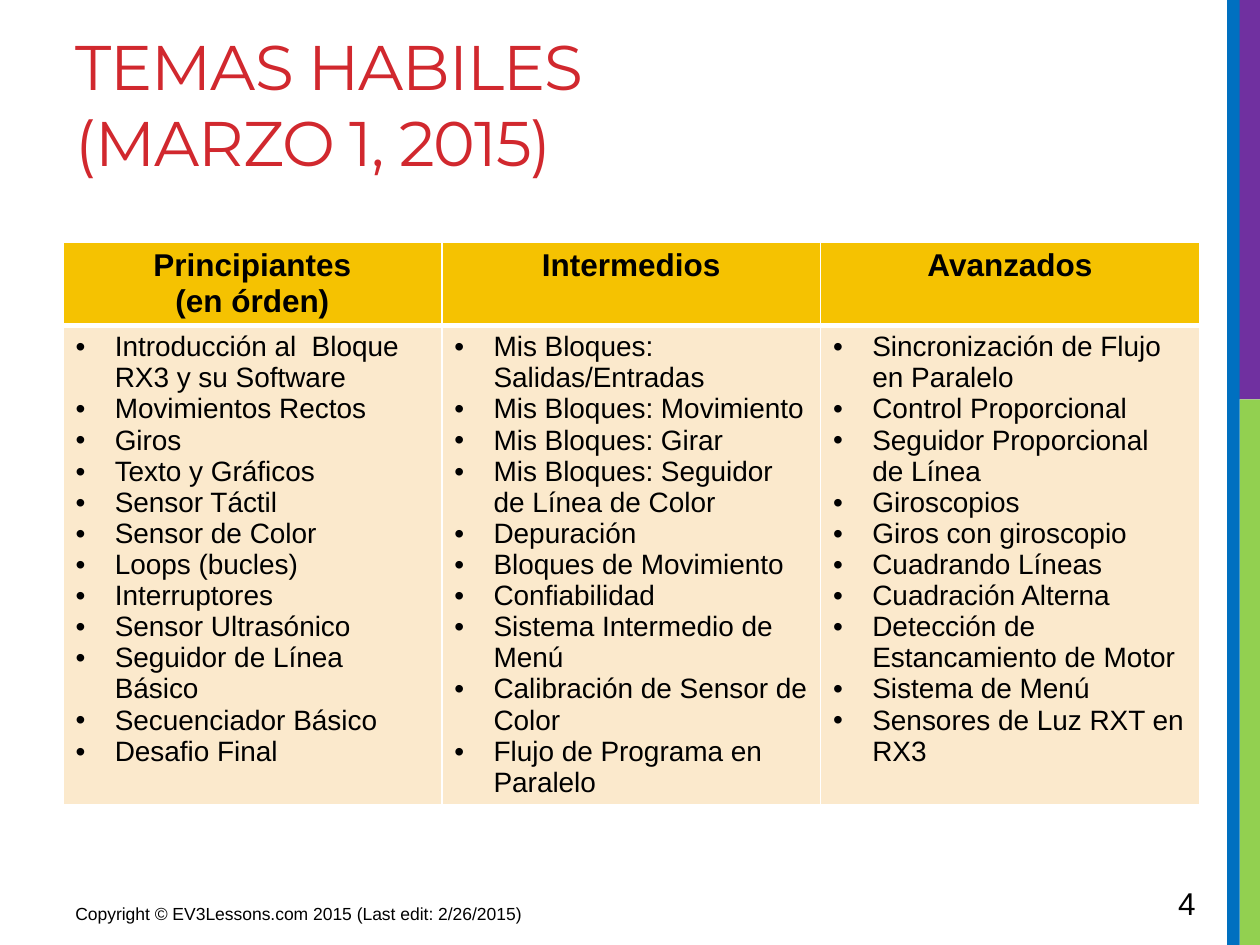
from lxml import etree
from pptx import Presentation
from pptx.dml.color import RGBColor
from pptx.enum import shapes, text
from pptx.oxml.ns import qn
from pptx.util import Cm, Pt

LEFT, WIDE = 1.27, 22.91
BANDS = [
    (24.99, 8.05, 0.41, 11, "92D050"),
    (24.89, 0, 0.51, 8.05, "7030A0"),
    (24.74, 0, 0.25, 19.05, "0070C0"),
]
TOPICS = {
    "Principiantes\n(en órden)": [
        "Introducción al  Bloque RX3 y su Software", "Movimientos Rectos",
        "Giros", "Texto y Gráficos", "Sensor Táctil", "Sensor de Color",
        "Loops (bucles)", "Interruptores", "Sensor Ultrasónico",
        "Seguidor de Línea Básico", "Secuenciador Básico", "Desafio Final",
    ],
    "Intermedios": [
        "Mis Bloques: Salidas/Entradas", "Mis Bloques: Movimiento",
        "Mis Bloques: Girar", "Mis Bloques: Seguidor de Línea de Color",
        "Depuración", "Bloques de Movimiento", "Confiabilidad",
        "Sistema Intermedio de Menú", "Calibración de Sensor de Color",
        "Flujo de Programa en Paralelo",
    ],
    "Avanzados": [
        "Sincronización de Flujo en Paralelo", "Control Proporcional",
        "Seguidor Proporcional de Línea", "Giroscopios",
        "Giros con giroscopio", "Cuadrando Líneas", "Cuadración Alterna",
        "Detección de Estancamiento de Motor", "Sistema de Menú",
        "Sensores de Luz RXT en RX3",
    ],
}


def paint(fmt, hue):
    """Give a fill one solid colour."""
    fmt.solid()
    fmt.fore_color.rgb = RGBColor.from_string(hue)


def style(para, size, hue="000000", face="Arial", bold=False):
    """Format all runs of a paragraph."""
    for run in para.runs:
        run.font.name, run.font.size, run.font.bold = face, Pt(size), bold
        run.font.color.rgb = RGBColor.from_string(hue)


def band(slide, left, top, width, height, hue):
    """Add a plain coloured strip at the edge."""
    strip = slide.shapes.add_shape(
        shapes.MSO_SHAPE.RECTANGLE, Cm(left), Cm(top), Cm(width), Cm(height))
    strip.shadow.inherit = False
    paint(strip.fill, hue)
    strip.line.fill.background()


def label(slide, words, left, top, width, height, size):
    """Add a line of text at the foot."""
    box = slide.shapes.add_textbox(Cm(left), Cm(top), Cm(width), Cm(height))
    frame = box.text_frame
    frame.word_wrap = True
    frame.vertical_anchor = text.MSO_ANCHOR.MIDDLE
    frame.text = words
    style(frame.paragraphs[0], size)


def head(slide, words):
    """Place and format the title."""
    box = slide.shapes.title
    box.left, box.top, box.width, box.height = Cm(LEFT), Cm(0.43), Cm(WIDE), Cm(3.81)
    frame = box.text_frame
    frame.vertical_anchor = text.MSO_ANCHOR.TOP
    frame.text = words
    para = frame.paragraphs[0]
    para.alignment = text.PP_ALIGN.LEFT
    style(para, 36, "D1282E", "Montserrat")
    for run in para.runs:
        run.font._element.set("spc", "-60")


def bullet(para):
    """Give a paragraph a hanging bullet."""
    props = para._p.get_or_add_pPr()
    props.set("marL", str(Cm(0.79)))
    props.set("indent", str(-Cm(0.79)))
    etree.SubElement(props, qn("a:buFont")).set("typeface", "Arial")
    etree.SubElement(props, qn("a:buChar")).set("char", "•")


def border(cell, base):
    """Draw white borders, the bottom one with its own width."""
    props = cell._tc.get_or_add_tcPr()
    for spot, (side, width) in enumerate(zip("LRTB", (1, 1, 1, base))):
        line = etree.Element(qn(f"a:ln{side}"), w=str(Pt(width)))
        fill = etree.SubElement(line, qn("a:solidFill"))
        etree.SubElement(fill, qn("a:srgbClr")).set("val", "FFFFFF")
        props.insert(spot, line)


def fill(cell, words, hue, base, size, top):
    """Write a header or list cell."""
    cell.text_frame.text = words
    for para in cell.text_frame.paragraphs:
        if top:
            para.alignment = text.PP_ALIGN.CENTER
        else:
            bullet(para)
        style(para, size, bold=top)
    paint(cell.fill, hue)
    border(cell, base)


def grid(slide):
    """Add the table of topics by level."""
    table = slide.shapes.add_table(
        2, len(TOPICS), Cm(LEFT), Cm(4.88), Cm(WIDE), Cm(11.3)).table
    table.rows[0].height, table.rows[1].height = Cm(1.67), Cm(9.63)
    for col, (level, items) in enumerate(TOPICS.items()):
        fill(table.cell(0, col), level, "F5C201", 3, 18, True)
        fill(table.cell(1, col), "\n".join(items), "FBE9CC", 1, 16, False)
        border_top = table.cell(1, col)._tc.tcPr.find(qn("a:lnT"))
        border_top.set("w", str(Pt(3)))


def main():
    """Build and save the slide."""
    deck = Presentation()
    deck.slide_width, deck.slide_height = Cm(25.4), Cm(19.05)
    slide = deck.slides.add_slide(deck.slide_layouts[5])
    for strip in BANDS:
        band(slide, *strip)
    head(slide, "TEMAS HABILES \v(MARZO 1, 2015)")
    grid(slide)
    label(slide, "Copyright © EV3Lessons.com 2015 (Last edit: 2/26/2015)",
          LEFT, 18.03, 9.53, 0.79, 10)
    label(slide, "4", 23.5, 17.7, 1.75, 1.02, 18)
    deck.save("out.pptx")


if __name__ == "__main__":
    main()
